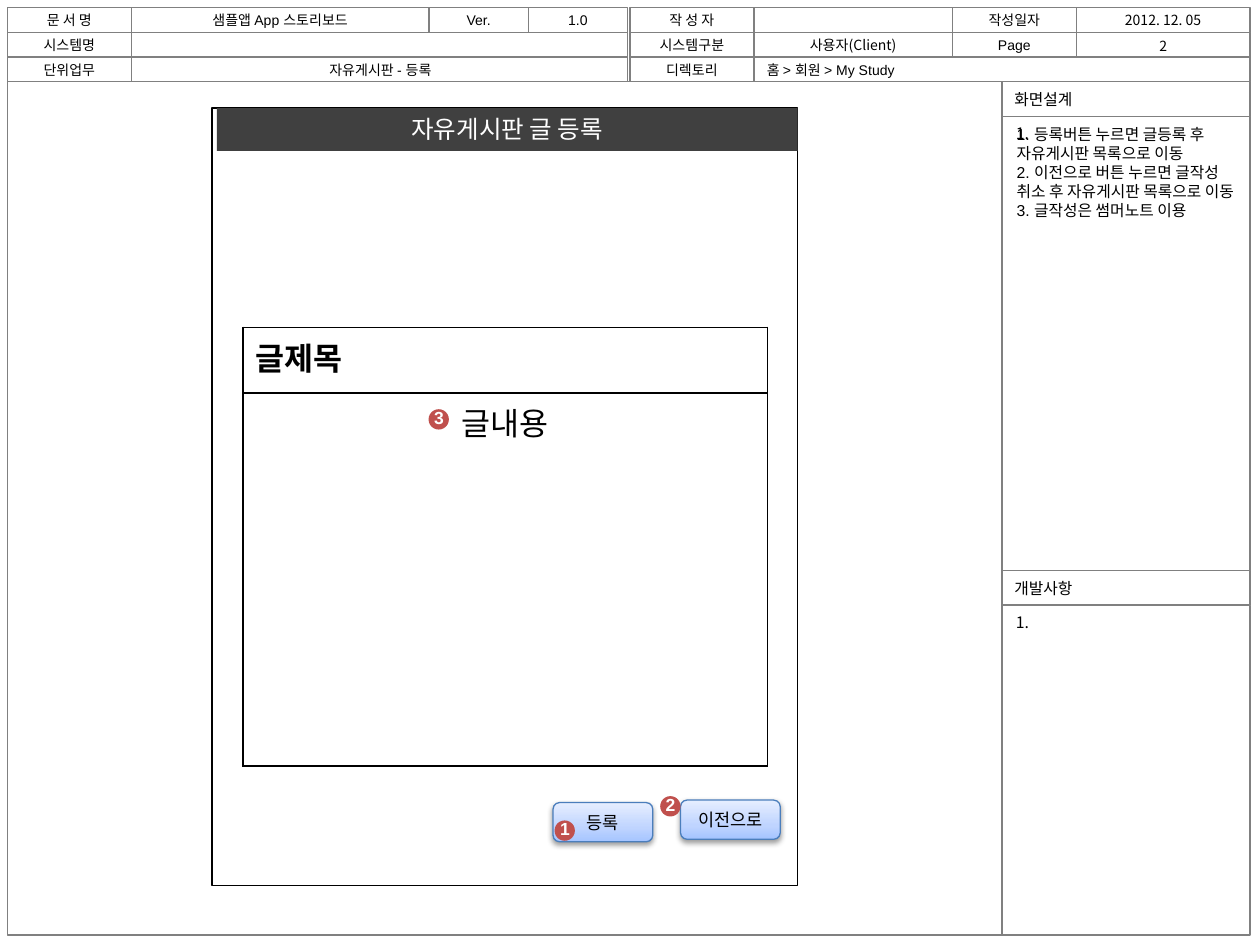
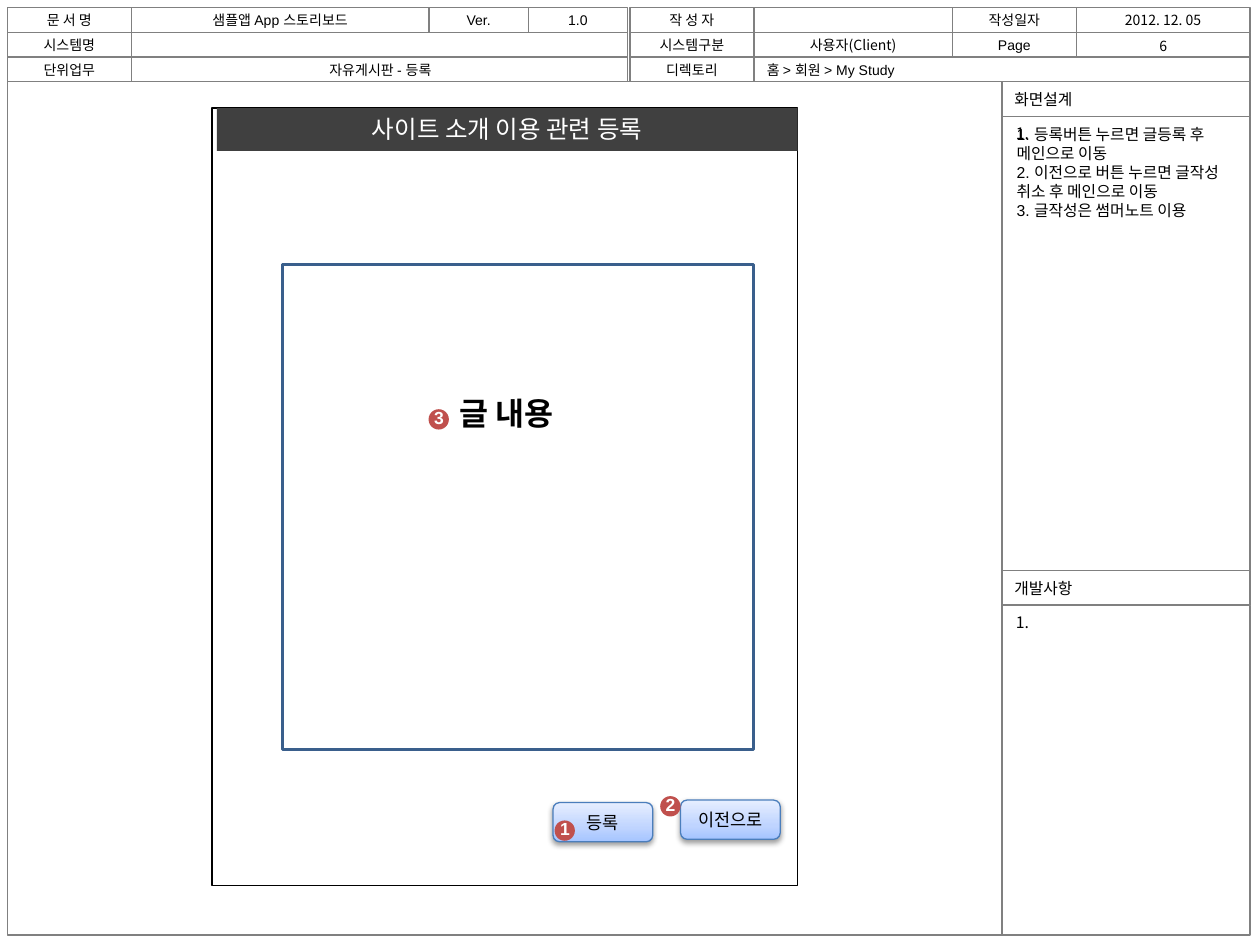
from pptx import Presentation
from pptx.dml.color import RGBColor
from pptx.enum.shapes import MSO_SHAPE
from pptx.enum.text import MSO_ANCHOR, MSO_AUTO_SIZE, PP_ALIGN
from pptx.oxml import parse_xml
from pptx.oxml.ns import nsdecls
from pptx.util import Cm, Pt

ARIAL, NOTO = "Arial", "Noto Sans CJK KR"
BLACK = RGBColor(0x00, 0x00, 0x00)
WHITE = RGBColor(0xFF, 0xFF, 0xFF)
GREY = RGBColor(0x80, 0x80, 0x80)
DARK = RGBColor(0x40, 0x40, 0x40)
RED = RGBColor(0xC0, 0x50, 0x4D)
NAVY = RGBColor(0x3A, 0x5F, 0x8C)
BLUE = RGBColor(0x4B, 0x7E, 0xBC)
GLOSS = [(0, RGBColor(0xA4, 0xC4, 0xFF)), (35, RGBColor(0xBF, 0xD4, 0xFF)),
         (100, RGBColor(0xE6, 0xEE, 0xFF))]
LEFT, MID, TOP = PP_ALIGN.LEFT, PP_ALIGN.CENTER, MSO_ANCHOR.TOP

# Header cells: width in cm, text, font
HEAD = {
    0.15: [
        [(2.5, "문 서 명", ARIAL), (6, "샘플앱 App 스토리보드", ARIAL),
         (2, "Ver.", ARIAL), (2, "1.0", ARIAL)],
        [(2.5, "시스템명", ARIAL), (10, "", ARIAL)],
        [(2.5, "단위업무", ARIAL), (10, "", ARIAL)],
    ],
    12.7: [
        [(2.5, "작 성 자", ARIAL), (4, "", ARIAL),
         (2.5, "작성일자", ARIAL), (3.5, "2012. 12. 05", NOTO)],
        [(2.5, "시스템구분", ARIAL), (4, "사용자(Client)", NOTO),
         (2.5, "Page", ARIAL), (3.5, "", ARIAL)],
        [(2.5, "디렉토리", ARIAL), (10, "", ARIAL)],
    ],
}
EDGE, ROW = 0.15, 0.5
SIDE = [("화면설계", 9.15), ("개발사항", 6.65)]
SIDE_X, SIDE_Y, SIDE_W, SIDE_H = 20.2, 1.65, 5, 0.7
PHONE = (4.27, 2.18, 11.81, 15.67)
BAR = (4.37, 2.18, 11.71, 0.86)
BUTTONS = [("이전으로", 13.72, 16.13), ("등록", 11.15, 16.18)]
BADGES = [("1", 11.18, 16.54), ("2", 13.31, 16.05), ("3", 8.64, 8.25)]
UNIT, ROUTE = "자유게시판 - 등록", "홈 > 회원 > My Study"

PAGES = [
    {"page": "2", "title": "자유게시판 글 등록", "form": ["글제목", "글내용"],
     "notes": ["1. 등록버튼 누르면 글등록 후 자유게시판 목록으로 이동",
               "2. 이전으로 버튼 누르면 글작성 취소 후 자유게시판 목록으로 이동",
               "3. 글작성은 썸머노트 이용"]},
    {"page": "6", "title": "사이트 소개 이용 관련 등록", "area": "글 내용",
     "notes": ["1. 등록버튼 누르면 글등록 후 메인으로 이동",
               "2. 이전으로 버튼 누르면 글작성 취소 후 메인으로 이동",
               "3. 글작성은 썸머노트 이용"]},
]


def write(frame, lines, size, font=ARIAL, color=BLACK, bold=False, align=MID):
    for i, line in enumerate(lines):
        para = frame.add_paragraph() if i else frame.paragraphs[0]
        para.alignment = align
        run = para.add_run()
        run.text = line
        run.font.size, run.font.bold = Pt(size), bold
        run.font.color.rgb = color
        run.font.name = font
        run.font._element.find("{*}latin").addnext(
            parse_xml(f'<a:ea {nsdecls("a")} typeface="{NOTO}"/>'))


def shape(shapes, kind, at, line=None, fill=None, width=0.75):
    item = shapes.add_shape(kind, *map(Cm, at))
    item.shadow.inherit = False
    if fill is None:
        item.fill.background()
    else:
        item.fill.solid()
        item.fill.fore_color.rgb = fill
    if line is None:
        item.line.fill.background()
    else:
        item.line.color.rgb = line
        item.line.width = Pt(width)
    item.text_frame.vertical_anchor = MSO_ANCHOR.MIDDLE
    return item


def label(shapes, at, text, size, anchor=TOP, **style):
    item = shapes.add_textbox(*map(Cm, at))
    item.text_frame.word_wrap = True
    item.text_frame.vertical_anchor = anchor
    write(item.text_frame, [text], size, **style)
    return item


def draw_sheet(shapes):
    """Draw the storyboard form that all slides share, and return its parts."""
    parts = []

    def cell(at, text="", size=8, **style):
        item = shape(shapes, MSO_SHAPE.RECTANGLE, at, GREY)
        if text:
            write(item.text_frame, [text], size, **style)
        parts.append(item)

    for start, rows in HEAD.items():
        for i, row in enumerate(rows):
            x = start
            for width, text, font in row:
                cell((x, EDGE + i * ROW, width, ROW), text, font=font)
                x += width
    y = SIDE_Y
    cell((EDGE, y, SIDE_X - EDGE, sum(h + SIDE_H for _, h in SIDE)))
    for text, height in SIDE:
        cell((SIDE_X, y, SIDE_W, SIDE_H), text, 9, align=LEFT)
        y += SIDE_H
        cell((SIDE_X, y, SIDE_W, height))
        parts.append(label(shapes, (SIDE_X + 0.03, y + 0.02, 5.16, 0.64),
                           "1.", 9, font=NOTO, align=LEFT))
        y += height
    parts.append(shape(shapes, MSO_SHAPE.RECTANGLE, PHONE, BLACK, WHITE, 1))
    return parts


def share(parts, layout):
    """Move parts from a slide to its layout under fresh ids."""
    for number, part in enumerate(parts, 20):
        part.element.nvSpPr.cNvPr.set("id", str(number))
        layout.shapes.element.append(part.element)


def place(holder, at):
    holder.left, holder.top, holder.width, holder.height = map(Cm, at)
    frame = holder.text_frame
    frame.auto_size, frame.vertical_anchor = MSO_AUTO_SIZE.NONE, TOP
    return frame


def add_title(slide, text):
    title = slide.shapes.title
    title.fill.solid()
    title.fill.fore_color.rgb = DARK
    write(place(title, BAR), [text], 14, color=WHITE)


def add_notes(slide, lines):
    frame = place(slide.placeholders[1], (20.24, 2.39, 5.16, 2.57))
    write(frame, lines, 9, align=LEFT)
    for para in frame.paragraphs:
        para.space_before = Pt(0)
        props = para._p.get_or_add_pPr()
        props.set("marL", "0")
        props.set("indent", "0")
        props.append(parse_xml(f'<a:buNone {nsdecls("a")}/>'))


def add_button(shapes, text, x, y):
    item = shape(shapes, MSO_SHAPE.ROUNDED_RECTANGLE, (x, y, 2.01, 0.79), BLUE)
    stops = "".join(f'<a:gs pos="{at * 1000}"><a:srgbClr val="{color}"/></a:gs>'
                    for at, color in GLOSS)
    props = item.element.spPr
    props.replace(props.find("{*}noFill"), parse_xml(
        f'<a:gradFill {nsdecls("a")} rotWithShape="1"><a:gsLst>{stops}</a:gsLst>'
        '<a:lin ang="16200000" scaled="0"/></a:gradFill>'))
    props.find("{*}effectLst").append(parse_xml(
        f'<a:outerShdw {nsdecls("a")} blurRad="40000" dist="20000" dir="5400000"'
        ' rotWithShape="0"><a:srgbClr val="000000"><a:alpha val="38000"/>'
        '</a:srgbClr></a:outerShdw>'))
    write(item.text_frame, [text], 10, font=NOTO)


def add_badge(shapes, text, x, y):
    group = shapes.add_group_shape().shapes
    shape(group, MSO_SHAPE.OVAL, (x, y, 0.41, 0.41), fill=RED)
    label(group, (x - 0.14, y - 0.17, 1.4, 0.69), text, 10,
          color=WHITE, bold=True, align=LEFT)


def add_form(shapes, head, body):
    heights = (1.32, 7.52)
    item = shapes.add_table(2, 1, *map(Cm, (4.9, 6.6, 10.57, sum(heights))))
    table = item.table
    table.first_row = table.horz_banding = False
    looks = [(head, True, LEFT), (body, False, MID)]
    for i, (text, bold, align) in enumerate(looks):
        table.rows[i].height = Cm(heights[i])
        cell = table.cell(i, 0)
        write(cell.text_frame, [text], 18, font=NOTO, bold=bold, align=align)
        props = cell._tc.get_or_add_tcPr()
        for side in ("lnL", "lnR", "lnT", "lnB"):
            props.append(parse_xml(
                f'<a:{side} {nsdecls("a")} w="12700"><a:solidFill>'
                f'<a:srgbClr val="{BLACK}"/></a:solidFill></a:{side}>'))
        cell.fill.background()


def add_area(shapes, text):
    shape(shapes, MSO_SHAPE.RECTANGLE, (5.69, 5.33, 9.5, 9.78), NAVY, width=1.5)
    label(shapes, (9.02, 7.82, 3.86, 1.02), text, 18,
          font=NOTO, bold=True, align=LEFT)


def main():
    deck = Presentation()
    deck.slide_width, deck.slide_height = Cm(25.4), Cm(19.05)
    layout = deck.slide_layouts[1]
    for i, page in enumerate(PAGES):
        slide = deck.slides.add_slide(layout)
        shapes = slide.shapes
        if i == 0:
            share(draw_sheet(shapes), layout)
        add_title(slide, page["title"])
        add_notes(slide, page["notes"])
        label(shapes, (21.7, 0.68, 3.5, 0.5), page["page"], 8,
              MSO_ANCHOR.MIDDLE, font=NOTO)
        label(shapes, (2.67, 1.12, 10, 0.6), UNIT, 8)
        label(shapes, (15.21, 1.12, 10, 0.6), ROUTE, 8, align=LEFT)
        if "form" in page:
            add_form(shapes, *page["form"])
        else:
            add_area(shapes, page["area"])
        for button in BUTTONS:
            add_button(shapes, *button)
        for badge in BADGES:
            add_badge(shapes, *badge)
    deck.save("out.pptx")


if __name__ == "__main__":
    main()
